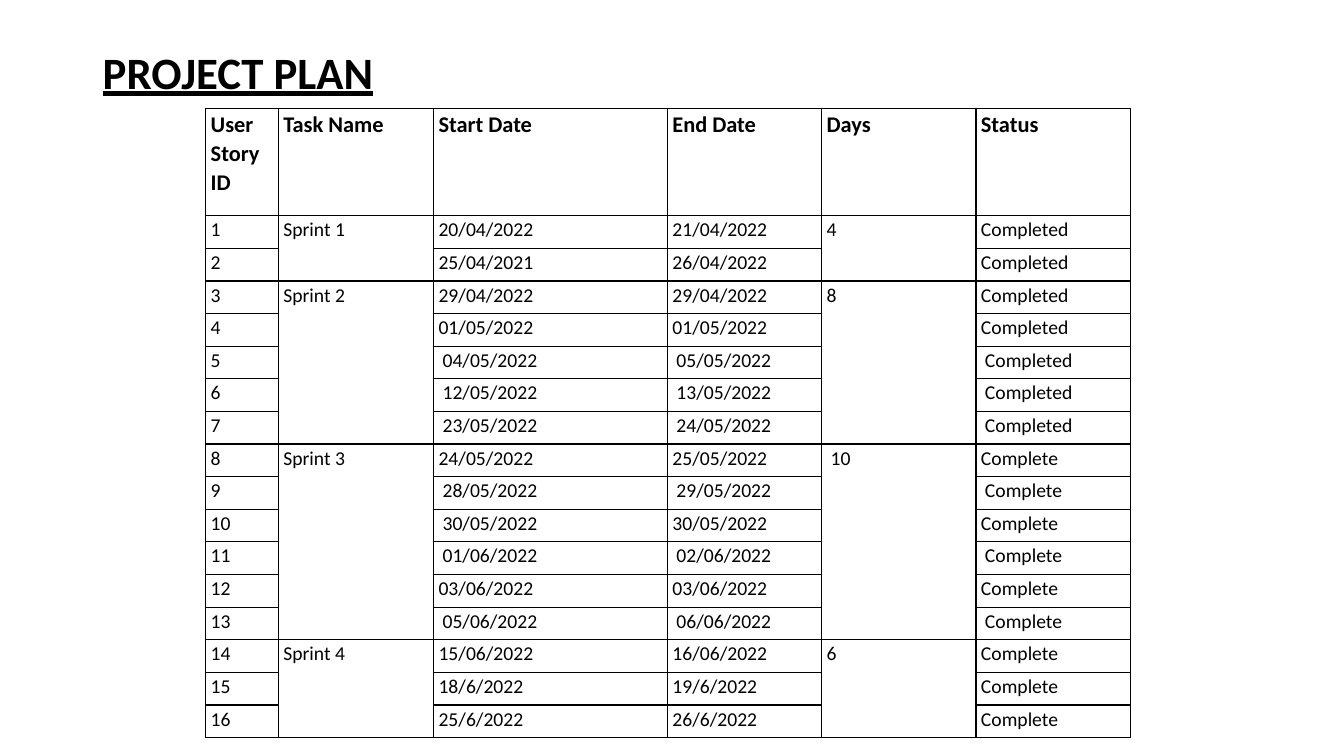
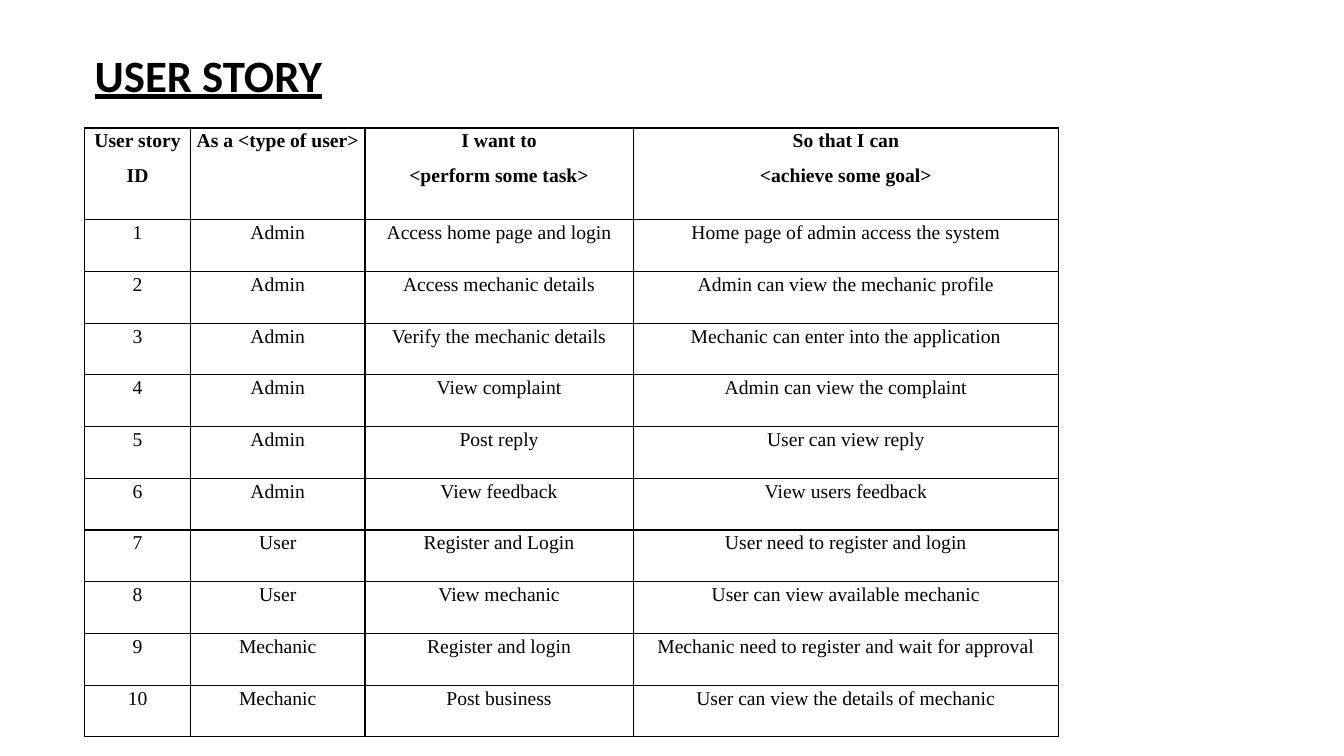
from lxml import etree
from pptx import Presentation
from pptx.dml.color import RGBColor
from pptx.enum.text import MSO_ANCHOR, PP_ALIGN
from pptx.oxml import parse_xml
from pptx.util import Inches, Pt

BLACK = RGBColor(0, 0, 0)
LEFT, CENTER, MIDDLE = PP_ALIGN.LEFT, PP_ALIGN.CENTER, MSO_ANCHOR.MIDDLE
NS = "http://schemas.openxmlformats.org/drawingml/2006/main"
EDGE = (f'<a:%s xmlns:a="{NS}" w="12700"><a:solidFill>'
        f'<a:srgbClr val="{BLACK}"/></a:solidFill></a:%s>')
SIDES = ["lnL", "lnR", "lnT", "lnB"]
INDENT = 0.04  # dates and states with a leading space sit slightly inward

# Sprint name, days, then start, end and state of each story
sprints = [
    ("Sprint 1", "4", [
        ("20/04/2022", "21/04/2022", "Completed"),
        ("25/04/2021", "26/04/2022", "Completed")]),
    ("Sprint 2", "8", [
        ("29/04/2022", "29/04/2022", "Completed"),
        ("01/05/2022", "01/05/2022", "Completed"),
        (" 04/05/2022", " 05/05/2022", " Completed"),
        (" 12/05/2022", " 13/05/2022", " Completed"),
        (" 23/05/2022", " 24/05/2022", " Completed")]),
    ("Sprint 3", " 10", [
        ("24/05/2022", "25/05/2022", "Complete"),
        (" 28/05/2022", " 29/05/2022", " Complete"),
        (" 30/05/2022", "30/05/2022", "Complete"),
        (" 01/06/2022", " 02/06/2022", " Complete"),
        ("03/06/2022", "03/06/2022", "Complete"),
        (" 05/06/2022", " 06/06/2022", " Complete")]),
    ("Sprint 4", "6", [
        ("15/06/2022", "16/06/2022", "Complete"),
        ("18/6/2022", "19/6/2022", "Complete"),
        ("25/6/2022", "26/6/2022", "Complete")]),
]
plan = [["User Story ID", "Task Name", "Start Date", "End Date", "Days", "Status"]]
spans = []
for name, days, tasks in sprints:
    top = len(plan)
    for start, end, state in tasks:
        first = len(plan) == top
        plan.append([str(len(plan)), name if first else "", start, end,
                     days if first else "", state])
    spans += [(top, len(plan) - 1, col) for col in (1, 4)]

# Who wants what, and why
wants = [
    ("Admin", "Access home page and login", "Home page of admin access the system"),
    ("Admin", "Access mechanic details", "Admin can view the mechanic profile"),
    ("Admin", "Verify the mechanic details", "Mechanic can enter into the application"),
    ("Admin", "View complaint", "Admin can view the complaint"),
    ("Admin", "Post reply", "User can view reply"),
    ("Admin", "View feedback", "View users feedback"),
    ("User", "Register and Login", "User need to register and login"),
    ("User", "View mechanic", "User can view available mechanic"),
    ("Mechanic", "Register and login", "Mechanic need to register and wait for approval"),
    ("Mechanic", "Post business", "User can view the details of mechanic"),
]
story = [["User story\nID", "As a <type of user>", "I want to\n<perform some task>",
          "So that I can\n<achieve some goal>"]]
story += [[str(num), *want] for num, want in enumerate(wants, 1)]

pages = [
    {"title": "PROJECT PLAN", "box": (0.92, 0.4, 3.48, 0.68),
     "at": (2.04, 1.08), "cols": [0.72, 1.54, 2.32, 1.53, 1.53, 1.53],
     "head": 1.06, "high": 6.24, "rows": plan, "spans": spans,
     "font": "Calibri", "sizes": (16, 14), "align": LEFT, "pad": 0.05, "lead": 1.06},
    {"title": "USER STORY", "box": (0.84, 0.42, 2.96, 0.7),
     "at": (0.84, 1.27), "cols": [1.05, 1.73, 2.66, 4.22],
     "head": 0.91, "high": 6.04, "rows": story, "spans": [],
     "font": "Times New Roman", "sizes": (14, 14), "align": CENTER, "pad": 0.04,
     "lead": 1.07},
]


def style(para, form, font):
    for target, values in ((para, form), (para.font, font)):
        for key, value in values.items():
            setattr(target, key, value)
    para.font.color.rgb = BLACK


def fill_cell(cell, text, page, head):
    cell.fill.background()
    pad = page["pad"]
    inset = {"margin_left": pad + INDENT * text.startswith(" "),
             "margin_right": pad, "margin_top": 0.01, "margin_bottom": 0}
    for key, value in inset.items():
        setattr(cell, key, Inches(value))
    cell.text_frame.text = text.strip()
    for para in cell.text_frame.paragraphs:
        style(para, {"alignment": page["align"], "line_spacing": page["lead"],
                     "space_after": Pt(8)},
              {"name": page["font"], "bold": head,
               "size": Pt(page["sizes"][0 if head else 1])})
    props = cell._tc.get_or_add_tcPr()
    for spot, side in enumerate(SIDES):
        props.insert(spot, parse_xml(EDGE % (side, side)))


deck = Presentation()
deck.slide_width, deck.slide_height = Inches(13.33), Inches(7.5)

for page in pages:
    slide = deck.slides.add_slide(deck.slide_layouts[6])

    # Title
    frame = slide.shapes.add_textbox(*map(Inches, page["box"])).text_frame
    frame.word_wrap, frame.vertical_anchor = True, MIDDLE
    frame.text = page["title"]
    style(frame.paragraphs[0], {"line_spacing": 0.9},
          {"name": "Calibri", "size": Pt(32), "bold": True, "underline": True})

    # Table: one tall head row, the rest share the height equally
    rows, cols = page["rows"], page["cols"]
    size = (sum(cols), page["high"])
    table = slide.shapes.add_table(len(rows), len(cols),
                                   *map(Inches, page["at"] + size)).table
    table.first_row = table.horz_banding = False
    for col, wide in zip(table.columns, cols):
        col.width = Inches(wide)
    step = (page["high"] - page["head"]) / (len(rows) - 1)
    for num, row in enumerate(rows):
        table.rows[num].height = Inches(step if num else page["head"])
        for col, text in enumerate(row):
            fill_cell(table.cell(num, col), text, page, num == 0)
    for top, last, col in page["spans"]:
        table.cell(top, col).merge(table.cell(last, col))

deck.save("out.pptx")
